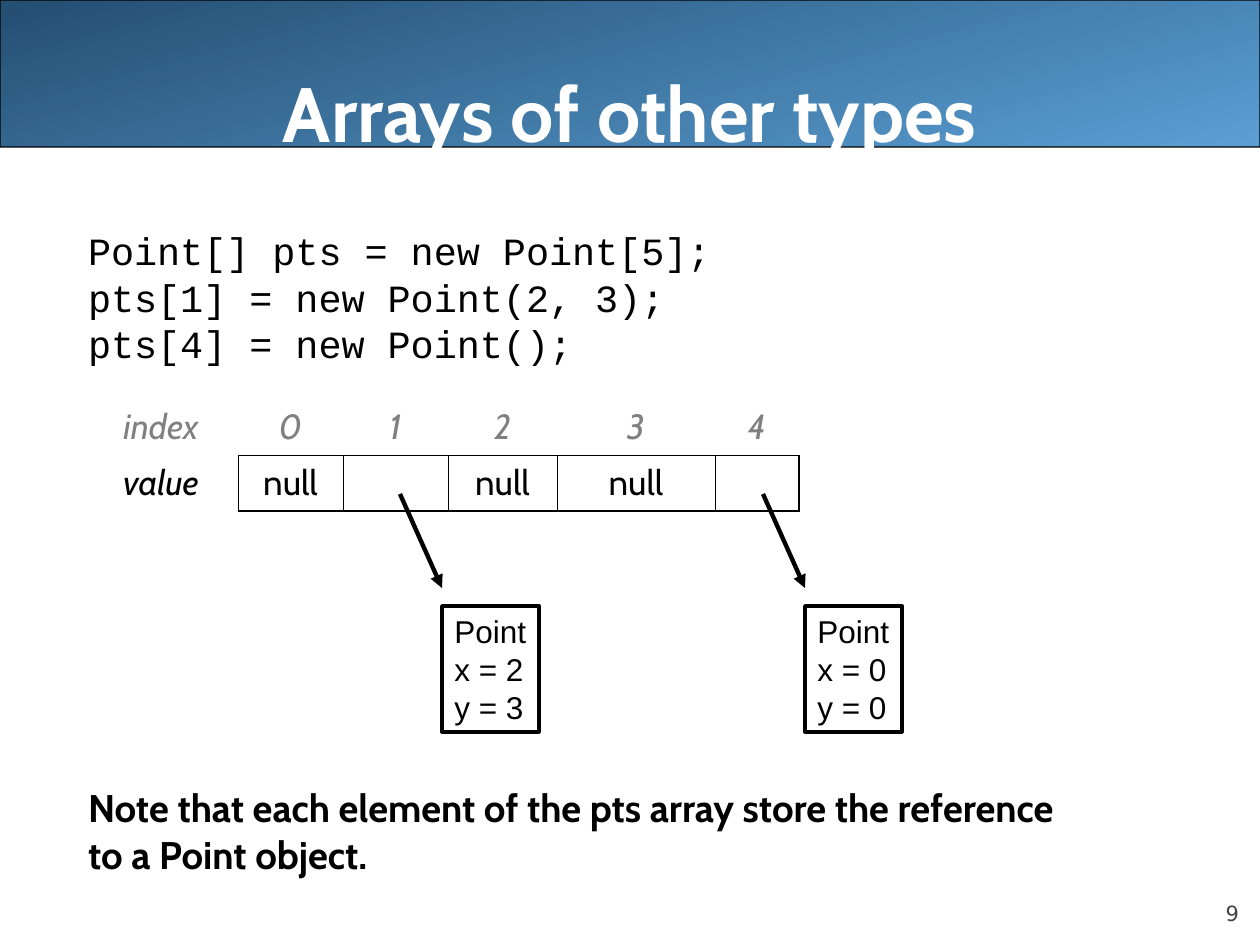
from dataclasses import dataclass

from lxml import etree
from pptx import Presentation
from pptx import util as u
from pptx.dml.color import RGBColor
from pptx.enum import shapes, text
from pptx.oxml.ns import qn

PX = 914400 / 126
BLACK = RGBColor(0x00, 0x00, 0x00)
WHITE = RGBColor(0xFF, 0xFF, 0xFF)
GRAY = RGBColor(0x80, 0x80, 0x80)
DARK_GRAY = RGBColor(0x42, 0x42, 0x42)
DARK_BLUE = RGBColor(0x24, 0x4E, 0x72)
LIGHT_BLUE = RGBColor(0x5A, 0x9F, 0xD4)
BODY_LINE = 26.5
THIN, THICK = 0.45, 1.08


@dataclass(frozen=True)
class Box:
    left: int
    top: int
    width: int
    height: int

    def emu(self) -> tuple:
        return tuple(px(v) for v in (self.left, self.top, self.width, self.height))


@dataclass(frozen=True)
class PointObject:
    left: int
    x: int
    y: int


HEADER = Box(0, 0, 1260, 147)
TITLE = Box(63, 0, 1134, 158)
CODE = Box(88, 227, 1100, 140)
NOTE = Box(88, 784, 1100, 93)
PAGE_NUMBER = Box(1134, 876, 105, 50)
ARRAY = Box(84, 399, 715, 112)
COLUMNS = (154, 105, 105, 109, 158, 84)
INDEXES = ("index", "0", "1", "2", "3", "4")
VALUES = ("value", "null", "", "null", "null", "")
POINTS = (PointObject(442, 2, 3), PointObject(805, 0, 0))


def px(length: int) -> u.Emu:
    return u.Emu(round(length * PX))


def write_text(frame, lines, *, font, size, color=BLACK, bold=False, italic=False,
               align=text.PP_ALIGN.LEFT, line_spacing=None) -> None:
    for number, line in enumerate(lines):
        paragraph = frame.paragraphs[0] if number == 0 else frame.add_paragraph()
        paragraph.alignment = align
        if line_spacing:
            paragraph.line_spacing = u.Pt(line_spacing)
        paragraph.text = line
        style = paragraph.font
        style.name, style.size = font, u.Pt(size)
        style.bold, style.italic = bold, italic
        style.color.rgb = color


def set_frame(frame, *, insets=(0, 0, 0, 0), wrap=True,
              anchor=text.MSO_ANCHOR.TOP, fit=text.MSO_AUTO_SIZE.NONE) -> None:
    frame.auto_size = fit
    frame.word_wrap = wrap
    frame.vertical_anchor = anchor
    (frame.margin_left, frame.margin_top,
     frame.margin_right, frame.margin_bottom) = (u.Inches(i) for i in insets)


def add_text(slide, box: Box, lines, anchor=text.MSO_ANCHOR.TOP, **style) -> None:
    frame = slide.shapes.add_textbox(*box.emu()).text_frame
    set_frame(frame, anchor=anchor)
    write_text(frame, lines, **style)


def add_header(slide) -> None:
    header = slide.shapes.add_shape(
        shapes.MSO_SHAPE.ROUNDED_RECTANGLE, *HEADER.emu())
    header.adjustments[0] = 0.001
    header.shadow.inherit = False
    header.fill.gradient()
    header.fill.gradient_angle = 285
    for stop, color in zip(header.fill.gradient_stops, (DARK_BLUE, LIGHT_BLUE)):
        stop.color.rgb = color
    header.line.color.rgb = BLACK
    header.line.width = u.Pt(0.75)
    # The band lies behind the title
    slide.shapes._spTree.insert(2, header._element)


def add_title(slide, wording: str) -> None:
    title = slide.shapes.title
    title.left, title.top, title.width, title.height = TITLE.emu()
    set_frame(title.text_frame, insets=(0, 0.05, 0, 0), anchor=text.MSO_ANCHOR.BOTTOM)
    write_text(title.text_frame, [wording], font="Cabin", size=44, color=WHITE,
               bold=True, align=text.PP_ALIGN.CENTER)


def set_borders(cell, **widths: float) -> None:
    properties = cell._tc.get_or_add_tcPr()
    for side in "LRTB":
        width = widths.get(side, 0)
        line = etree.SubElement(properties, qn(f"a:ln{side}"), w=str(u.Pt(width)))
        if width:
            fill = etree.SubElement(line, qn("a:solidFill"))
            etree.SubElement(fill, qn("a:srgbClr"), val=str(BLACK))
        else:
            etree.SubElement(line, qn("a:noFill"))


def add_array(slide) -> None:
    rows = (INDEXES, VALUES)
    table = slide.shapes.add_table(len(rows), len(COLUMNS), *ARRAY.emu()).table
    table.first_row = table.horz_banding = False
    for column, width in zip(table.columns, COLUMNS):
        column.width = px(width)
    for r, words in enumerate(rows):
        for c, word in enumerate(words):
            cell = table.cell(r, c)
            write_text(cell.text_frame, [word], font="Cabin", size=20,
                       color=BLACK if r else GRAY, italic=r == 0 or c == 0,
                       align=text.PP_ALIGN.CENTER)
            if c == 0:
                set_borders(cell, R=THIN * r)
            elif r == 0:
                set_borders(cell, B=THIN)
            else:
                right = THICK if c == len(words) - 1 else THIN
                set_borders(cell, L=THIN, T=THIN, R=right, B=THICK)
            cell.fill.background()


def add_point(slide, point: PointObject) -> None:
    # Reference from the array element
    arrow = slide.shapes.add_connector(
        shapes.MSO_CONNECTOR.STRAIGHT, px(point.left - 42), px(494),
        px(point.left), px(588))
    arrow.line.color.rgb = BLACK
    arrow.line.width = u.Pt(2.5)
    etree.SubElement(arrow.line._get_or_add_ln(), qn("a:tailEnd"), type="triangle")
    etree.SubElement(arrow._element.spPr, qn("a:effectLst"))

    # Referenced object
    rectangle = slide.shapes.add_shape(
        shapes.MSO_SHAPE.RECTANGLE, *Box(point.left, 606, 97, 126).emu())
    rectangle.shadow.inherit = False
    rectangle.fill.background()
    rectangle.line.color.rgb = BLACK
    rectangle.line.width = u.Pt(2)
    set_frame(rectangle.text_frame, insets=(0.1, 0.05, 0.1, 0.05), wrap=False,
              fit=text.MSO_AUTO_SIZE.SHAPE_TO_FIT_TEXT)
    write_text(rectangle.text_frame, ["Point", f"x = {point.x}", f"y = {point.y}"],
               font="Arial", size=18)


def main() -> None:
    presentation = Presentation()
    presentation.slide_width, presentation.slide_height = px(1260), px(945)
    slide = presentation.slides.add_slide(presentation.slide_layouts[5])

    # Header and page number
    add_header(slide)
    add_title(slide, "Arrays of other types")
    add_text(slide, PAGE_NUMBER, ["9"], anchor=text.MSO_ANCHOR.BOTTOM,
             font="DejaVu Sans", size=12, color=DARK_GRAY, align=text.PP_ALIGN.RIGHT)

    # Code and note
    add_text(slide, CODE, ["Point[] pts = new Point[5];",
                           "pts[1] = new Point(2, 3);",
                           "pts[4] = new Point();"],
             font="Courier New", size=22, line_spacing=BODY_LINE)
    add_text(slide, NOTE,
             ["Note that each element of the pts array store the reference",
              "to a Point object."],
             font="Cabin", size=22, bold=True, line_spacing=BODY_LINE)

    # Array with the objects it refers to
    add_array(slide)
    for point in POINTS:
        add_point(slide, point)

    presentation.save("out.pptx")


if __name__ == "__main__":
    main()
